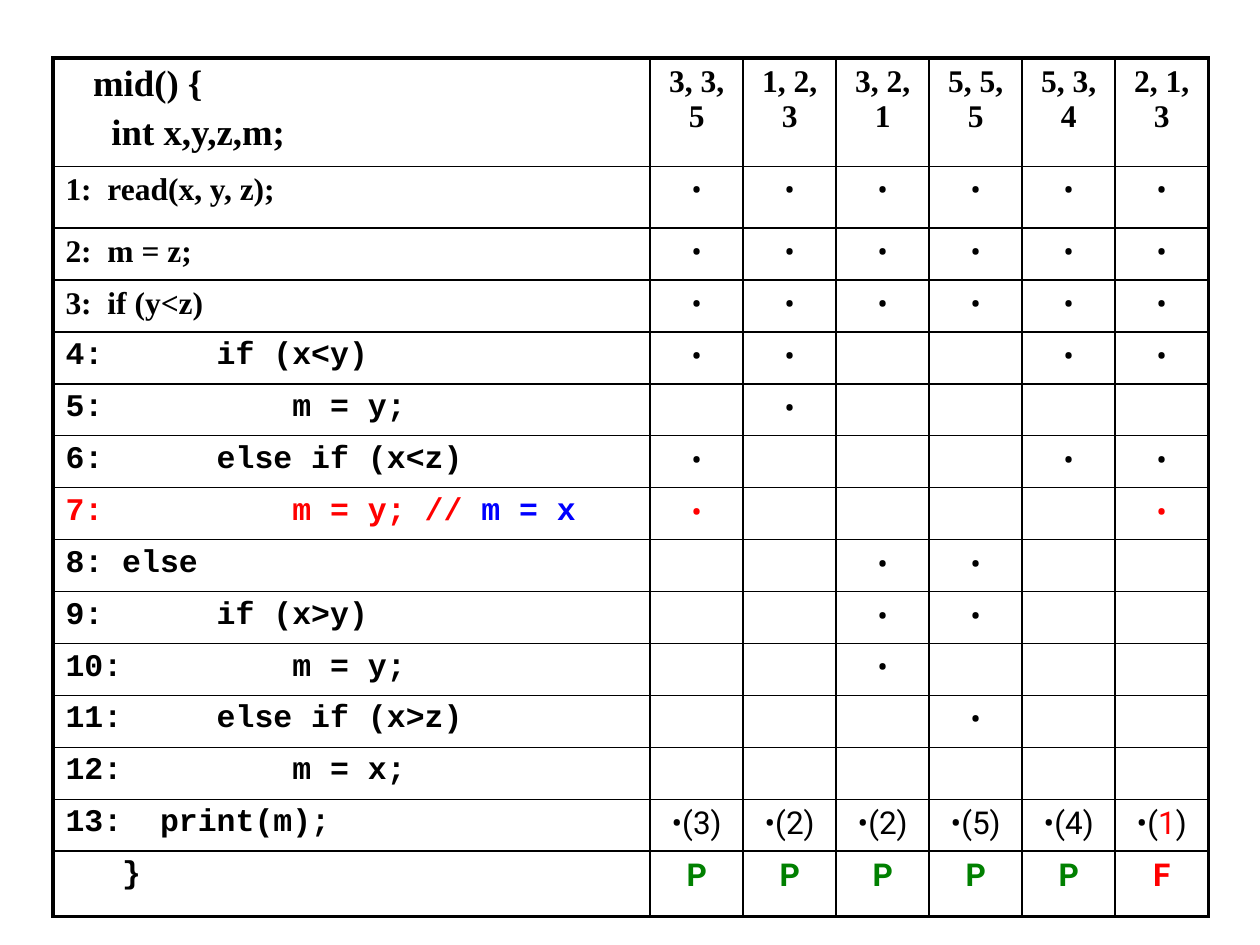
from lxml import etree
from pptx import Presentation
from pptx.dml.color import RGBColor
from pptx.enum.text import PP_ALIGN
from pptx.oxml.ns import qn
from pptx.util import Inches, Pt

CENTER, LEFT = PP_ALIGN.CENTER, PP_ALIGN.LEFT
COLORS = {"ink": "000000", "paper": "FFFFFF", "fault": "FF0000",
          "fix": "0000FF", "pass": "008000"}
SERIF, MONO, SANS = "Times New Roman", "Courier New", "Roboto"

DECLARATION = ["   mid() {", "     int x,y,z,m;"]
INPUTS = ["3, 3, 5", "1, 2, 3", "3, 2, 1", "5, 5, 5", "5, 3, 4", "2, 1, 3"]
STATEMENTS = [
    ("1:  read(x, y, z);", "••••••"),
    ("2:  m = z;", "••••••"),
    ("3:  if (y<z)", "••••••"),
    ("4:      if (x<y)", "••  ••"),
    ("5:          m = y;", " •    "),
    ("6:      else if (x<z)", "•   ••"),
    ("7:          m = y; // ", "•    •"),
    ("8: else", "  ••  "),
    ("9:      if (x>y)", "  ••  "),
    ("10:         m = y;", "  •   "),
    ("11:     else if (x>z)", "   •  "),
    ("12:         m = x;", "      "),
]
SERIF_STATEMENTS = 3
FAULTY_STATEMENT = 7
FIX = "m = x"
PRINT = "13:  print(m);"
OUTPUTS = "322541"
CLOSING = "   }"
VERDICTS = "PPPPPF"

LEFT_EDGE, TOP_EDGE = 0.42, 0.46
INPUTS_WIDTH, STATEMENTS_HEIGHT = 4.43, 4.95
COLUMNS = [4.74] + [INPUTS_WIDTH / len(INPUTS)] * len(INPUTS)
ROWS = [0.86, 0.49] + [STATEMENTS_HEIGHT / len(STATEMENTS)] * len(STATEMENTS) + [0.52]
THIN, THICK = 1, 2.25


def run(text, font=SANS, color="ink", bold=False, size=18):
    return text, color, {"name": font, "bold": bold, "size": Pt(size)}


def table_content():
    yield ([[run(line, SERIF, bold=True, size=21)] for line in DECLARATION],
           *([[run(values, SERIF, bold=True)]] for values in INPUTS))
    for number, (code, marks) in enumerate(STATEMENTS, 1):
        faulty = number == FAULTY_STATEMENT
        color = "fault" if faulty else "ink"
        font = SERIF if number <= SERIF_STATEMENTS else MONO
        statement = [run(code, font, color, True)]
        if faulty:
            statement.append(run(FIX, font, "fix", True))
        yield ([statement], *([[run(mark.strip(), color=color)]] for mark in marks))
    outputs = []
    for value, verdict in zip(OUTPUTS, VERDICTS):
        if verdict == "F":
            outputs.append([[run("•("), run(value, color="fault"), run(")")]])
        else:
            outputs.append([[run(f"•({value})")]])
    yield ([[run(PRINT, MONO, bold=True)]], *outputs)
    yield ([[run(CLOSING, MONO, bold=True)]],
           *([[run(verdict, color="pass" if verdict == "P" else "fault", bold=True)]]
             for verdict in VERDICTS))


def write_paragraph(paragraph, runs, alignment):
    paragraph.alignment = alignment
    spacing = etree.SubElement(paragraph._p.get_or_add_pPr(), qn("a:spcBef"))
    etree.SubElement(spacing, qn("a:spcPct"), val="20000")
    for text, color, formats in runs:
        if not text:
            paragraph.font.size = formats["size"]
            continue
        piece = paragraph.add_run()
        piece.text = text
        piece.font.color.rgb = RGBColor.from_string(COLORS[color])
        for attribute, value in formats.items():
            setattr(piece.font, attribute, value)


def draw_borders(cell, widths):
    properties = cell._tc.get_or_add_tcPr()
    for position, (side, width) in enumerate(widths.items()):
        line = etree.Element(qn(f"a:ln{side}"), w=str(Pt(width)))
        fill = etree.SubElement(line, qn("a:solidFill"))
        etree.SubElement(fill, qn("a:srgbClr"), val=COLORS["ink"])
        properties.insert(position, line)


def main():
    presentation = Presentation()
    presentation.slide_width, presentation.slide_height = Inches(10), Inches(7.5)
    slide = presentation.slides.add_slide(presentation.slide_layouts[6])
    coverage = slide.shapes.add_table(
        len(ROWS), len(COLUMNS), Inches(LEFT_EDGE), Inches(TOP_EDGE),
        Inches(sum(COLUMNS)), Inches(sum(ROWS))).table
    coverage.first_row = coverage.horz_banding = False
    for column, width in zip(coverage.columns, COLUMNS):
        column.width = Inches(width)
    for row, height in zip(coverage.rows, ROWS):
        row.height = Inches(height)

    last_row, last_column = len(ROWS) - 1, len(COLUMNS) - 1
    for r, entries in enumerate(table_content()):
        for c, paragraphs in enumerate(entries):
            cell = coverage.cell(r, c)
            cell.fill.solid()
            cell.fill.fore_color.rgb = RGBColor.from_string(COLORS["paper"])
            outer = {"L": c == 0, "R": c == last_column,
                     "T": r == 0, "B": r == last_row}
            draw_borders(cell, {side: THICK if edge else THIN
                                for side, edge in outer.items()})
            if r == 0 and c:
                cell._tc.get_or_add_tcPr().set("vert", "eaVert")
            frame = cell.text_frame
            for index, runs in enumerate(paragraphs):
                paragraph = frame.add_paragraph() if index else frame.paragraphs[0]
                write_paragraph(paragraph, runs, CENTER if c else LEFT)
    presentation.save("out.pptx")


if __name__ == "__main__":
    main()
